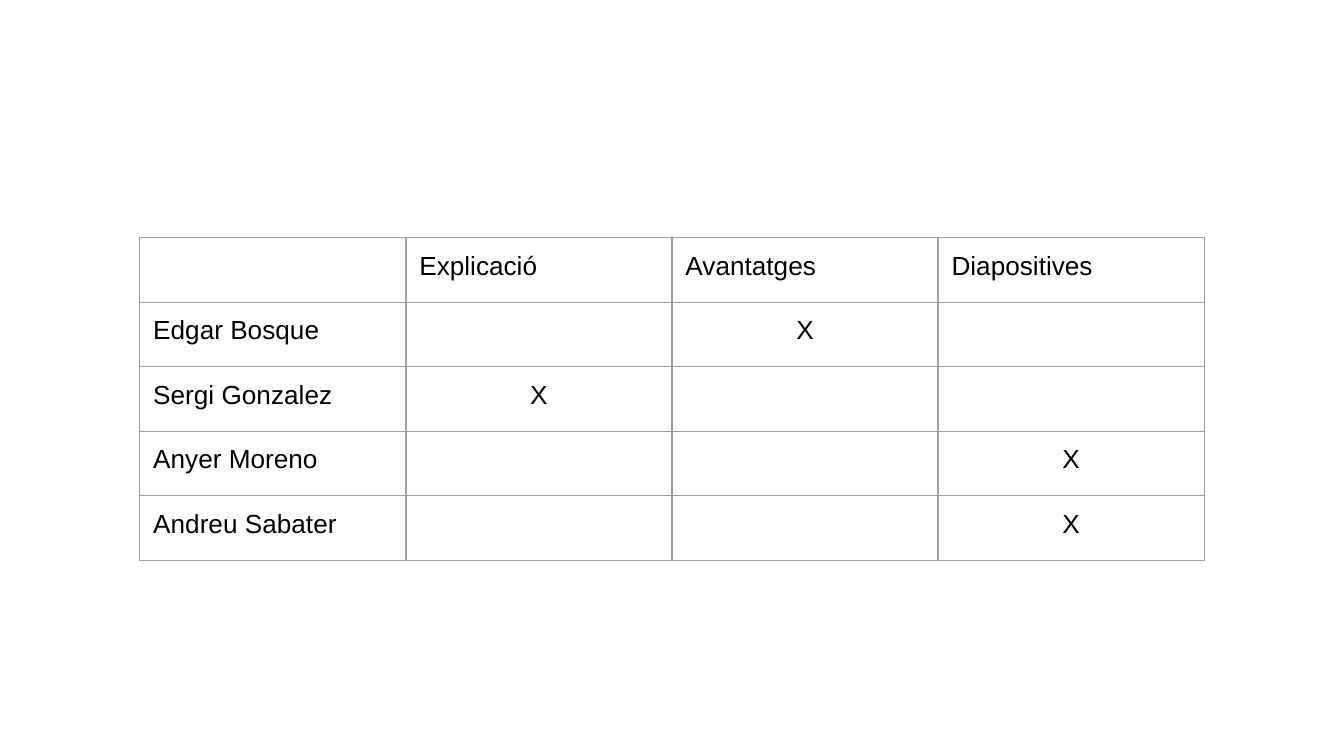
from dataclasses import dataclass

from lxml import etree
from pptx import Presentation, util as u
from pptx.dml.color import RGBColor
from pptx.enum import text
from pptx.oxml.ns import qn
from pptx.table import Table, _Cell


@dataclass(frozen=True)
class Theme:
    font: str = "Arial"
    size: float = 14
    ink: str = "000000"
    border: str = "9E9E9E"
    border_width: float = 0.75
    inset: float = 0.1


@dataclass(frozen=True)
class Member:
    name: str
    task: str


@dataclass(frozen=True)
class Grid:
    left: float
    top: float
    column: float
    row: float


THEME = Theme()
SLIDE_WIDTH = 10
SLIDE_HEIGHT = SLIDE_WIDTH * 9 / 16
GRID = Grid(left=1.04, top=1.77, column=1.98, row=0.48)
TASKS = ["Explicació", "Avantatges", "Diapositives"]
MEMBERS = [
    Member("Edgar Bosque", "Avantatges"),
    Member("Sergi Gonzalez", "Explicació"),
    Member("Anyer Moreno", "Diapositives"),
    Member("Andreu Sabater", "Diapositives"),
]


def write(cell: _Cell, content: str, *, align: text.PP_ALIGN = text.PP_ALIGN.LEFT) -> None:
    inset = u.Inches(THEME.inset)
    cell.margin_left = cell.margin_right = inset
    cell.margin_top = cell.margin_bottom = inset
    paragraph = cell.text_frame.paragraphs[0]
    paragraph.alignment = align
    run = paragraph.add_run()
    run.text = content
    run.font.name = THEME.font
    run.font.size = u.Pt(THEME.size)
    run.font.color.rgb = RGBColor.from_string(THEME.ink)


def outline(cell: _Cell) -> None:
    """Leave the cell unfilled, with a thin line on all four sides."""
    cell.fill.background()
    properties = cell._tc.get_or_add_tcPr()
    for position, side in enumerate(("lnL", "lnR", "lnT", "lnB")):
        line = etree.Element(qn(f"a:{side}"), w=str(u.Pt(THEME.border_width)))
        fill = etree.SubElement(line, qn("a:solidFill"))
        etree.SubElement(fill, qn("a:srgbClr"), val=THEME.border)
        properties.insert(position, line)


def fill_table(table: Table) -> None:
    for column, task in enumerate(TASKS, start=1):
        write(table.cell(0, column), task)
    for row, member in enumerate(MEMBERS, start=1):
        write(table.cell(row, 0), member.name)
        column = TASKS.index(member.task) + 1
        write(table.cell(row, column), "X", align=text.PP_ALIGN.CENTER)


def main() -> None:
    deck = Presentation()
    deck.slide_width = u.Inches(SLIDE_WIDTH)
    deck.slide_height = u.Inches(SLIDE_HEIGHT)
    slide = deck.slides.add_slide(deck.slide_layouts[6])

    rows, columns = len(MEMBERS) + 1, len(TASKS) + 1
    table = slide.shapes.add_table(
        rows, columns, u.Inches(GRID.left), u.Inches(GRID.top),
        u.Inches(columns * GRID.column), u.Inches(rows * GRID.row),
    ).table
    table.first_row = table.horz_banding = False
    for cell in table.iter_cells():
        outline(cell)
    fill_table(table)
    deck.save("out.pptx")


if __name__ == "__main__":
    main()
